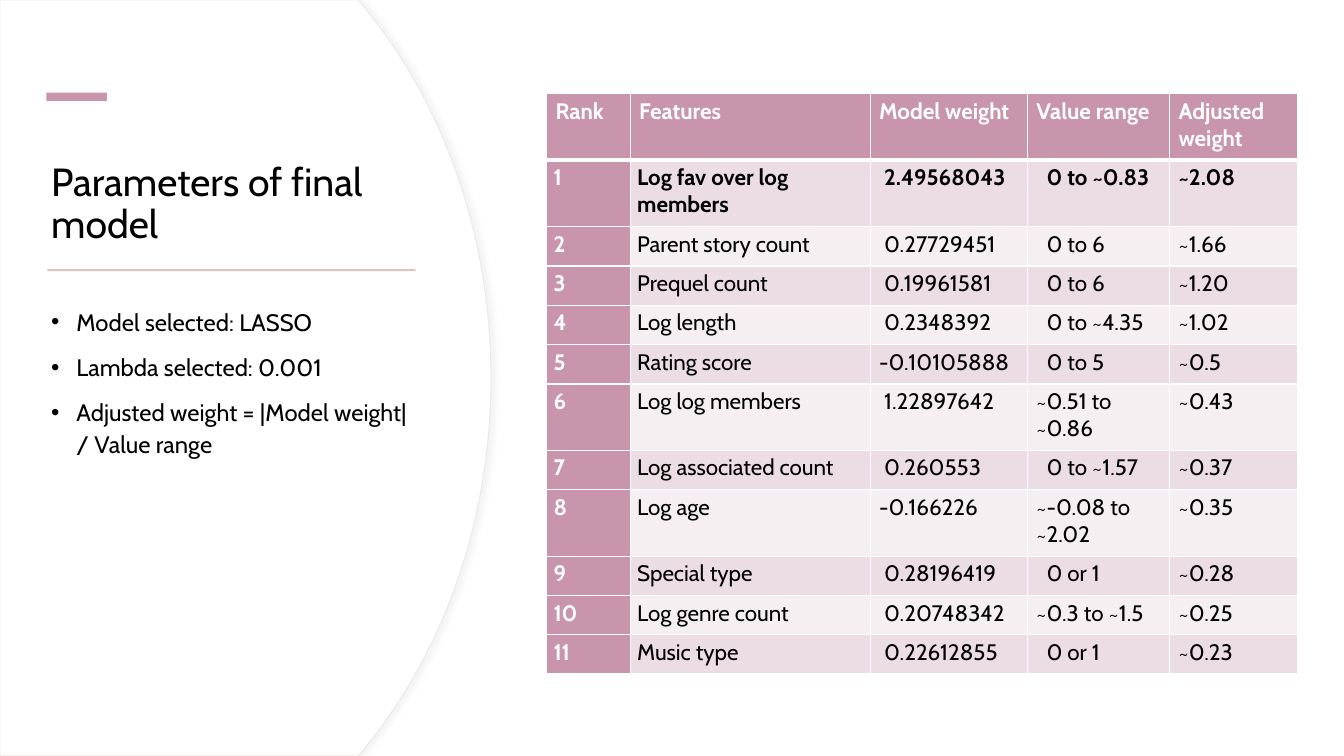
from dataclasses import dataclass

from lxml.etree import SubElement
from pptx import Presentation
from pptx.dml.color import RGBColor
from pptx.enum.shapes import MSO_SHAPE
from pptx.enum.text import MSO_ANCHOR
from pptx.oxml.ns import qn
from pptx.util import Inches, Pt


@dataclass(frozen=True)
class Theme:
    font: str = "Cabin"
    white: str = "FFFFFF"
    black: str = "000000"
    rose: str = "C895AC"
    rule: str = "DBC6BD"
    outline: str = "F0E8E5"
    shadow: str = "D9D9D9"
    bands: tuple = ("EBDDE3", "F5EFF1")
    title_size: int = 28
    body_size: int = 17
    table_size: int = 16


THEME = Theme()

BULLETS = [
    "Model selected: LASSO",
    "Lambda selected: 0.001",
    "Adjusted weight = |Model weight| / Value range",
]

HEADERS = ["Rank", "Features", "Model weight", "Value range", "Adjusted weight"]
FEATURES = [
    ("Log fav over log members", "2.49568043", "0 to ~0.83", "~2.08"),
    ("Parent story count", "0.27729451", "0 to 6", "~1.66"),
    ("Prequel count", "0.19961581", "0 to 6", "~1.20"),
    ("Log length", "0.2348392", "0 to ~4.35", "~1.02"),
    ("Rating score", "-0.10105888", "0 to 5", "~0.5"),
    ("Log log members", "1.22897642", "~0.51 to ~0.86", "~0.43"),
    ("Log associated count", "0.260553", "0 to ~1.57", "~0.37"),
    ("Log age", "-0.166226", "~-0.08 to ~2.02", "~0.35"),
    ("Special type", "0.28196419", "0 or 1", "~0.28"),
    ("Log genre count", "0.20748342", "~0.3 to ~1.5", "~0.25"),
    ("Music type", "0.22612855", "0 or 1", "~0.23"),
]
COLUMN_WIDTHS = [0.83, 2.38, 1.56, 1.41, 1.27]
TWO_LINE_ROWS = {0, 1, 6, 8}
# Extra indent that lines unsigned numbers up, by column
NUMBER_INDENTS = {2: 0.05, 3: 0.1}


def rgb(value):
    return RGBColor.from_string(value)


def set_font(paragraph, size, color, bold=False):
    font = paragraph.font
    font.name, font.size, font.bold = THEME.font, Pt(size), bold
    font.color.rgb = rgb(color)


def add_bar(page, left, top, width, height, color):
    bar = page.shapes.add_shape(MSO_SHAPE.RECTANGLE, Inches(left), Inches(top),
                                Inches(width), Inches(height))
    bar.shadow.inherit = False
    bar.fill.solid()
    bar.fill.fore_color.rgb = rgb(color)
    bar.line.fill.background()


def add_textbox(page, left, top, width, height, anchor):
    box = page.shapes.add_textbox(Inches(left), Inches(top), Inches(width), Inches(height))
    box.text_frame.word_wrap = True
    box.text_frame.vertical_anchor = anchor
    return box.text_frame


def curve_points(start, control_1, control_2, end, steps=40):
    """Points along a cubic curve, without its start."""
    points = []
    for step in range(1, steps + 1):
        t = step / steps
        weights = ((1 - t) ** 3, 3 * t * (1 - t) ** 2, 3 * t * t * (1 - t), t ** 3)
        corners = (start, control_1, control_2, end)
        points.append(tuple(sum(w * corner[axis] for w, corner in zip(weights, corners))
                            for axis in (0, 1)))
    return points


def add_curved_panel(page):
    upper = [(3.55, 0), (3.62, 0.08)]
    upper += curve_points((3.62, 0.08), (4.39, 1.02), (4.87, 2.32), (4.87, 3.75))
    lower = [(x, 7.5 - y) for x, y in reversed(upper[:-1])]
    outline = [(Inches(x), Inches(y)) for x, y in upper + lower + [(0, 7.5)]]
    builder = page.shapes.build_freeform(0, 0)
    builder.add_line_segments(outline, close=True)
    panel = builder.convert_to_shape()
    panel.fill.solid()
    panel.fill.fore_color.rgb = rgb(THEME.white)
    panel.line.color.rgb = rgb(THEME.outline)
    panel.line.width = Pt(0.75)
    # Soft shadow to the right
    panel.shadow.inherit = False
    effects = panel._element.spPr.find(qn("a:effectLst"))
    shadow = SubElement(effects, qn("a:outerShdw"), blurRad=str(Pt(4)),
                        dist=str(Pt(3)), dir="0", algn="l", rotWithShape="0")
    color = SubElement(shadow, qn("a:srgbClr"), val=THEME.shadow)
    SubElement(color, qn("a:alpha"), val="30000")


def add_title(page, text):
    frame = add_textbox(page, 0.41, 1.27, 3.76, 1.23, MSO_ANCHOR.BOTTOM)
    paragraph = frame.paragraphs[0]
    paragraph.text = text
    paragraph.line_spacing = 0.9
    set_font(paragraph, THEME.title_size, THEME.black)


def add_bullets(page, lines):
    frame = add_textbox(page, 0.41, 2.97, 3.76, 3.51, MSO_ANCHOR.TOP)
    for index, line in enumerate(lines):
        paragraph = frame.add_paragraph() if index else frame.paragraphs[0]
        paragraph.text = line
        paragraph.line_spacing = 1.1
        if index:
            paragraph.space_before = Pt(10)
        properties = paragraph._p.get_or_add_pPr()
        properties.set("marL", str(Inches(0.25)))
        properties.set("indent", str(Inches(-0.25)))
        SubElement(properties, qn("a:buFont"), typeface="Arial")
        SubElement(properties, qn("a:buChar"), char="•")
        set_font(paragraph, THEME.body_size, THEME.black)


def set_borders(cell, top, bottom):
    properties = cell._tc.get_or_add_tcPr()
    for side, width in (("L", 1), ("R", 1), ("T", top), ("B", bottom)):
        line = SubElement(properties, qn(f"a:ln{side}"), w=str(Pt(width)))
        fill = SubElement(line, qn("a:solidFill"))
        SubElement(fill, qn("a:srgbClr"), val=THEME.white)


def fill_cell(cell, row, column, text):
    heading = row == 0 or column == 0
    margin = 0.07 if row and column < 2 else 0.09
    indent = NUMBER_INDENTS.get(column, 0) if text[0].isdigit() else 0
    cell.margin_left, cell.margin_right = Inches(margin + indent), Inches(margin)
    cell.margin_top = cell.margin_bottom = Inches(0.04)
    set_borders(cell, top=3 if row == 1 else 1, bottom=3 if row == 0 else 1)
    cell.fill.solid()
    cell.fill.fore_color.rgb = rgb(THEME.rose if heading else THEME.bands[(row - 1) % 2])
    paragraph = cell.text_frame.paragraphs[0]
    paragraph.text = text
    set_font(paragraph, THEME.table_size, THEME.white if heading else THEME.black,
             bold=heading or row == 1)


def add_feature_table(page):
    rows = [HEADERS] + [(str(rank), *feature) for rank, feature in enumerate(FEATURES, 1)]
    heights = [0.66 if row in TWO_LINE_ROWS else 0.39 for row in range(len(rows))]
    table = page.shapes.add_table(len(rows), len(HEADERS), Inches(5.42), Inches(0.93),
                                  Inches(sum(COLUMN_WIDTHS)), Inches(sum(heights))).table
    table.horz_banding = False
    for column, width in zip(table.columns, COLUMN_WIDTHS):
        column.width = Inches(width)
    for row, (height, texts) in enumerate(zip(heights, rows)):
        table.rows[row].height = Inches(height)
        for column, text in enumerate(texts):
            fill_cell(table.cell(row, column), row, column, text)


def main():
    deck = Presentation()
    deck.slide_width, deck.slide_height = Inches(13.33), Inches(7.5)
    page = deck.slides.add_slide(deck.slide_layouts[6])

    # Left panel
    add_curved_panel(page)
    add_title(page, "Parameters of final model")
    add_bar(page, 0.46, 0.92, 0.6, 0.08, THEME.rose)
    add_bar(page, 0.47, 2.67, 3.65, 0.02, THEME.rule)
    add_bullets(page, BULLETS)

    # Ranked features
    add_feature_table(page)
    deck.save("out.pptx")


if __name__ == "__main__":
    main()
